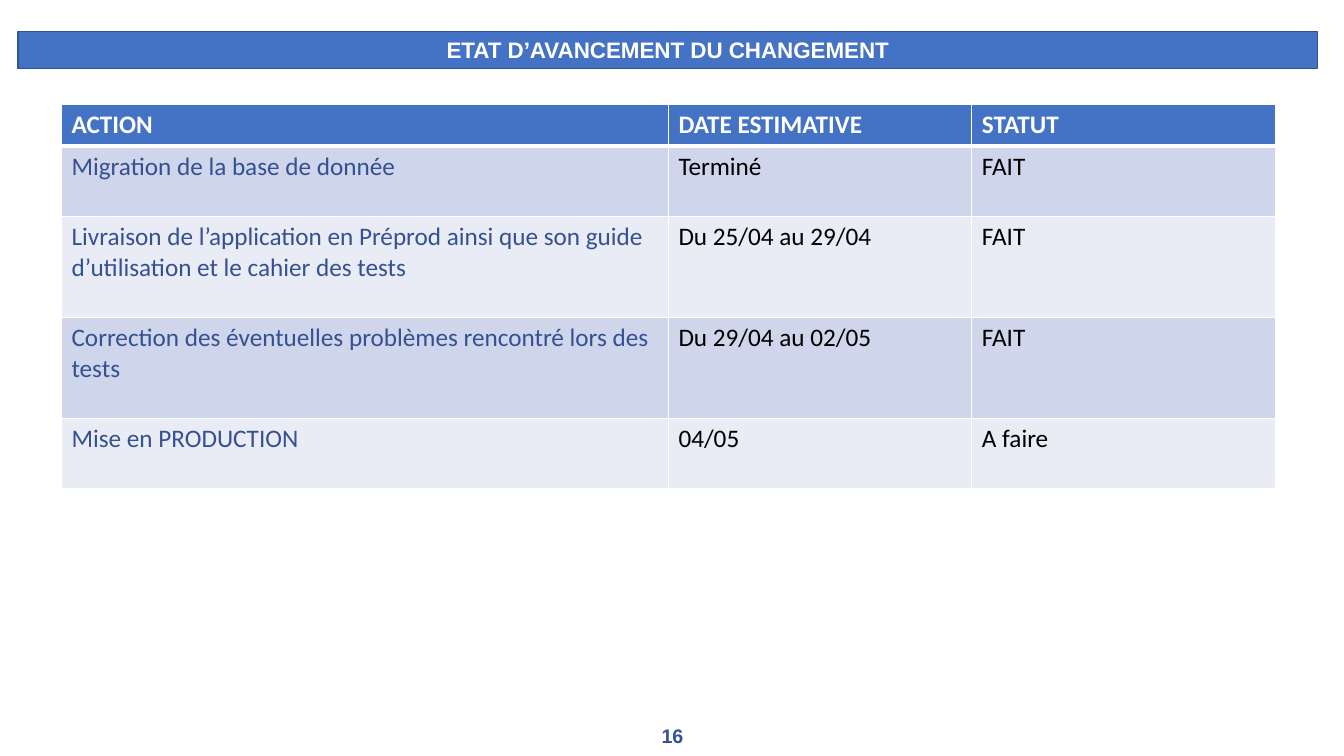
from lxml import etree
from pptx import Presentation
from pptx import util as u
from pptx.dml.color import RGBColor
from pptx.enum import text
from pptx.oxml.ns import qn

BLUE = RGBColor(0x44, 0x72, 0xC4)
EDGE = RGBColor(0x32, 0x54, 0x91)
NAVY = RGBColor(0x34, 0x51, 0x92)
BAND_DARK = RGBColor(0xCF, 0xD5, 0xEA)
BAND_LIGHT = RGBColor(0xE9, 0xEB, 0xF5)
WHITE = RGBColor(0xFF, 0xFF, 0xFF)
BLACK = RGBColor(0x00, 0x00, 0x00)

HEADING = {"name": "Arial", "size": u.Pt(16), "bold": True}
NUMBER = {"name": "Arial", "size": u.Pt(14), "bold": True}
CELL = {"name": "Calibri", "size": u.Pt(18)}

COLUMN_SHARES = (0.5, 0.25, 0.25)
ROW_HEIGHTS = (0.41, 0.7, 1, 1, 0.7)
ACTIONS = (
    ("ACTION", "DATE ESTIMATIVE", "STATUT"),
    ("Migration de la base de donnée", "Terminé", "FAIT"),
    ("Livraison de l’application en Préprod ainsi que son guide d’utilisation "
     "et le cahier des tests", "Du 25/04 au 29/04", "FAIT"),
    ("Correction des éventuelles problèmes rencontré lors des tests",
     "Du 29/04 au 02/05", "FAIT"),
    ("Mise en PRODUCTION", "04/05", "A faire"),
)


def write(frame, words, style, color, align=text.PP_ALIGN.LEFT):
    para = frame.paragraphs[0]
    para.alignment = align
    span = para.add_run()
    span.text = words
    for name, value in style.items():
        setattr(span.font, name, value)
    span.font.color.rgb = color


def place(shape, box):
    for name, value in zip(("left", "top", "width", "height"), box):
        setattr(shape, name, u.Inches(value))


def add_heading(page, box, words):
    """Fill the title placeholder as a banner."""
    banner = page.shapes.title
    place(banner, box)
    banner.fill.solid()
    banner.fill.fore_color.rgb = BLUE
    banner.line.color.rgb = EDGE
    banner.line.width = u.Pt(1)
    frame = banner.text_frame
    frame.auto_size = text.MSO_AUTO_SIZE.NONE
    frame.vertical_anchor = text.MSO_ANCHOR.MIDDLE
    write(frame, words, HEADING, WHITE, text.PP_ALIGN.CENTER)


def add_borders(cell, widths):
    """Draw white cell borders; widths in points, by side."""
    properties = cell._tc.get_or_add_tcPr()
    for side, width in widths.items():
        line = etree.SubElement(properties, qn(f"a:ln{side}"), w=str(u.Pt(width)))
        fill = etree.SubElement(line, qn("a:solidFill"))
        etree.SubElement(fill, qn("a:srgbClr"), val=str(WHITE))


def add_actions(page, box):
    left, top, width, height = map(u.Inches, box)
    table = page.shapes.add_table(
        len(ACTIONS), len(COLUMN_SHARES), left, top, width, height).table
    for column, share in zip(table.columns, COLUMN_SHARES):
        column.width = int(width * share)
    for row, row_height in zip(table.rows, ROW_HEIGHTS):
        row.height = u.Inches(row_height)
    for r, entries in enumerate(ACTIONS):
        header = r == 0
        band = BLUE if header else (BAND_LIGHT, BAND_DARK)[r % 2]
        widths = {"L": 1, "R": 1, "T": 3 if r == 1 else 1, "B": 3 if header else 1}
        for c, words in enumerate(entries):
            cell = table.cell(r, c)
            add_borders(cell, widths)
            cell.fill.solid()
            cell.fill.fore_color.rgb = band
            color = WHITE if header else NAVY if c == 0 else BLACK
            write(cell.text_frame, words, {**CELL, "bold": header}, color)


def add_page_number(page, box, number):
    frame = page.shapes.add_textbox(*map(u.Inches, box)).text_frame
    frame.word_wrap = True
    frame.vertical_anchor = text.MSO_ANCHOR.MIDDLE
    write(frame, number, NUMBER, NAVY, text.PP_ALIGN.CENTER)


def main():
    deck = Presentation()
    deck.slide_width, deck.slide_height = u.Inches(13.33), u.Inches(7.5)
    page = deck.slides.add_slide(deck.slide_layouts.get_by_name("Title Only"))
    add_page_number(page, (3.39, 7.1, 6.56, 0.4), "16")
    add_heading(page, (0.18, 0.31, 12.89, 0.37), "ETAT D’AVANCEMENT DU CHANGEMENT")
    add_actions(page, (0.61, 1.04, 12.04, sum(ROW_HEIGHTS)))
    deck.save("out.pptx")


if __name__ == "__main__":
    main()
